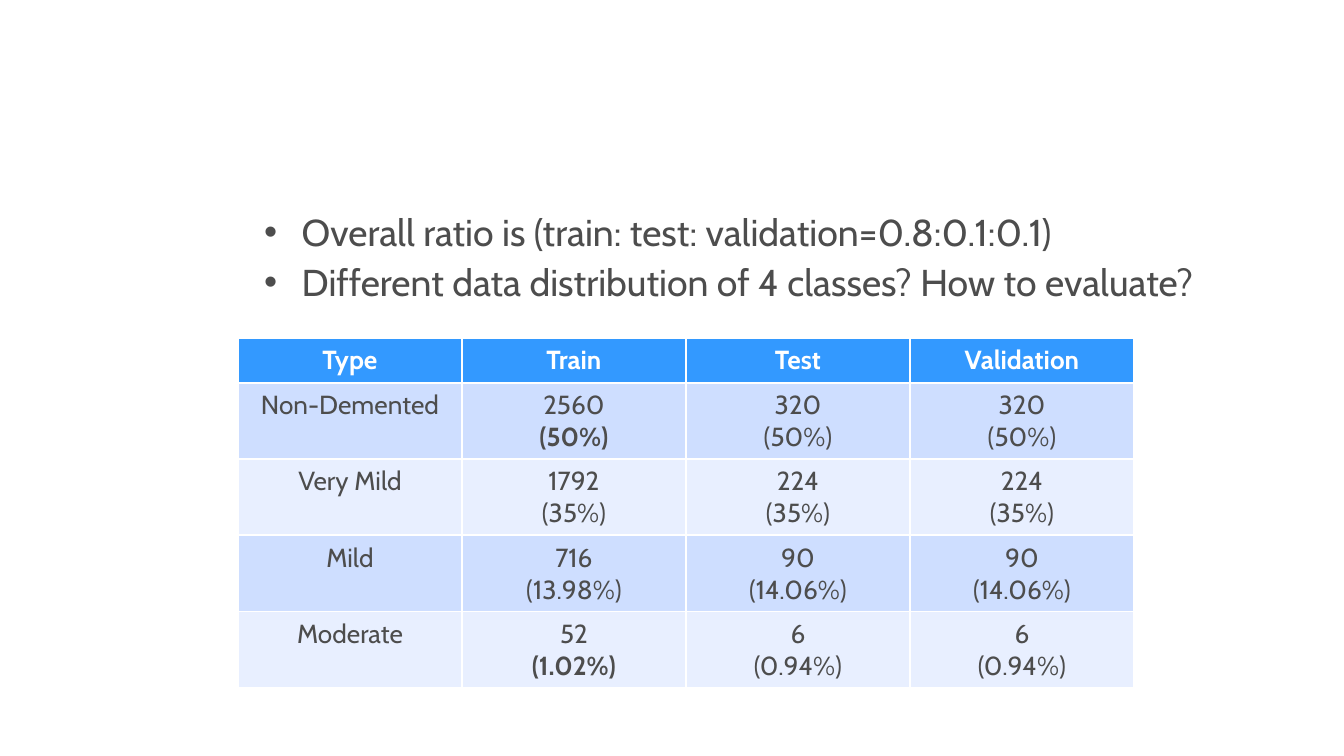
from pptx import Presentation
from pptx.dml.color import RGBColor
from pptx.enum.text import PP_ALIGN
from pptx.oxml.ns import qn
from pptx.util import Pt
from lxml.etree import SubElement

FONT = "Cabin"
GRAY = RGBColor(0x4D, 0x4D, 0x4D)
WHITE = RGBColor(0xFF, 0xFF, 0xFF)
HEADER_BLUE = RGBColor(0x33, 0x99, 0xFF)
BANDS = [RGBColor(0xCE, 0xDE, 0xFF), RGBColor(0xE8, 0xEF, 0xFF)]

BULLETS = [
    "Overall ratio is (train: test: validation=0.8:0.1:0.1)",
    "Different data distribution of 4 classes? How to evaluate?",
]
ROWS = [
    ["Type", "Train", "Test", "Validation"],
    ["Non-Demented", "2560\n(50%)", "320\n(50%)", "320\n(50%)"],
    ["Very Mild", "1792\n(35%)", "224\n(35%)", "224\n(35%)"],
    ["Mild", "716\n(13.98%)", "90\n(14.06%)", "90\n(14.06%)"],
    ["Moderate", "52\n(1.02%)", "6\n(0.94%)", "6\n(0.94%)"],
]
BOLD_SHARES = {(1, 1), (4, 1)}  # (row, column) whose percentage is bold

LEFT = 127.5
COLUMN_WIDTH = 120
HEADER_HEIGHT, ROW_HEIGHT = 14.5, 29.5


def style(paragraph, size, color, bold=False):
    for span in paragraph.runs:
        span.font.name = FONT
        span.font.size = Pt(size)
        span.font.bold = bold
        span.font.color.rgb = color


def add_bullet(paragraph):
    properties = paragraph._p.get_or_add_pPr()
    properties.set("marL", str(Pt(27)))
    properties.set("indent", str(-Pt(20)))
    color = SubElement(properties, qn("a:buClr"))
    SubElement(color, qn("a:srgbClr"), val=str(GRAY))
    SubElement(properties, qn("a:buFont"), typeface="Arial")
    SubElement(properties, qn("a:buChar"), char="•")


deck = Presentation()
deck.slide_width, deck.slide_height = Pt(720), Pt(405)
page = deck.slides.add_slide(deck.slide_layouts[6])

box = page.shapes.add_textbox(Pt(LEFT), Pt(108.7), Pt(567.5), Pt(281))
box.text_frame.word_wrap = True
box.text_frame.text = "\n".join(BULLETS)
for index, paragraph in enumerate(box.text_frame.paragraphs):
    add_bullet(paragraph)
    if index:
        paragraph.space_before = Pt(2.7)
    style(paragraph, 20, GRAY)

row_heights = [HEADER_HEIGHT] + [ROW_HEIGHT] * (len(ROWS) - 1)
table = page.shapes.add_table(
    len(ROWS), len(ROWS[0]), Pt(LEFT), Pt(181),
    Pt(COLUMN_WIDTH * len(ROWS[0])), Pt(sum(row_heights))).table
for row, height in zip(table.rows, row_heights):
    row.height = Pt(height)

for r, texts in enumerate(ROWS):
    header = r == 0
    for c, text in enumerate(texts):
        cell = table.cell(r, c)
        cell.text_frame.text = text
        cell.fill.solid()
        cell.fill.fore_color.rgb = HEADER_BLUE if header else BANDS[(r - 1) % 2]
        for line, paragraph in enumerate(cell.text_frame.paragraphs):
            paragraph.alignment = PP_ALIGN.CENTER
            bold = header or (line == 1 and (r, c) in BOLD_SHARES)
            style(paragraph, 14, WHITE if header else GRAY, bold)

deck.save("out.pptx")
